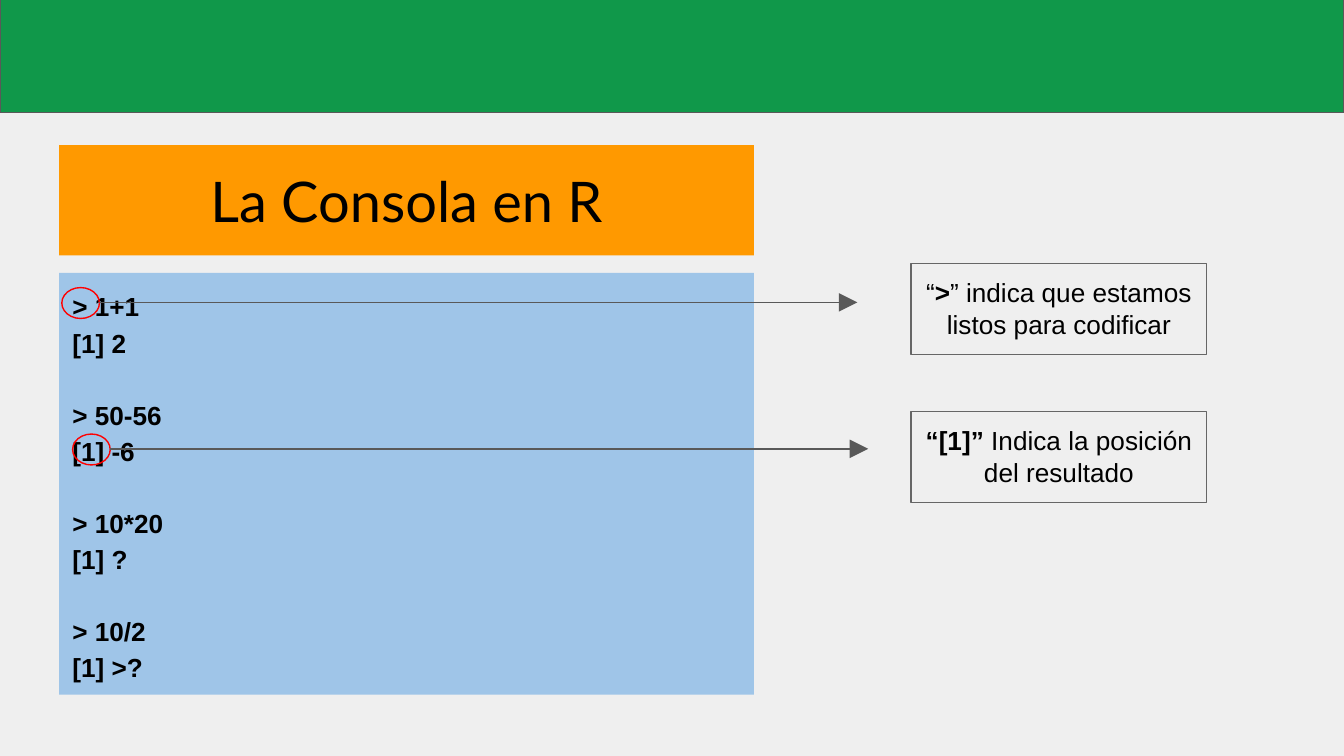
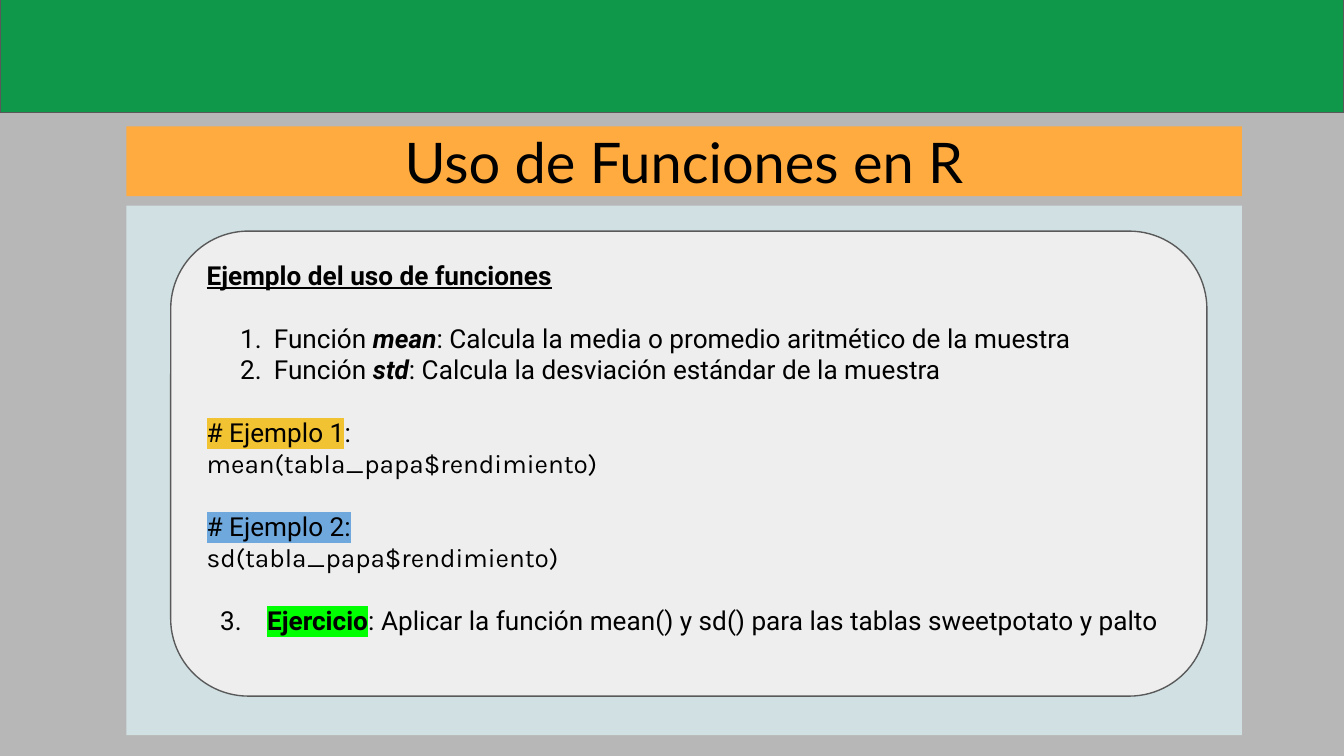
from lxml import etree
from pptx import Presentation
from pptx.dml.color import RGBColor
from pptx.enum.shapes import MSO_CONNECTOR, MSO_SHAPE
from pptx.enum.text import MSO_ANCHOR, PP_ALIGN
from pptx.oxml.ns import qn
from pptx.util import Inches, Pt

RECT, ROUNDED, OVAL = MSO_SHAPE.RECTANGLE, MSO_SHAPE.ROUNDED_RECTANGLE, MSO_SHAPE.OVAL
STRAIGHT = MSO_CONNECTOR.STRAIGHT
TOP, MIDDLE = MSO_ANCHOR.TOP, MSO_ANCHOR.MIDDLE
LEFT, CENTER = PP_ALIGN.LEFT, PP_ALIGN.CENTER

GREEN, GRAY, BLACK, RED = "10984A", "595959", "000000", "FF0000"
rgb = RGBColor.from_string


def add_box(shapes, kind, area, fill=None, line=None):
    box = shapes.add_shape(kind, *[Inches(v) for v in area])
    box.shadow.inherit = False
    if fill:
        box.fill.solid()
        box.fill.fore_color.rgb = rgb(fill)
    else:
        box.fill.background()
    if line:
        box.line.color.rgb = rgb(line)
        box.line.width = Pt(0.75)
    else:
        box.line.fill.background()
    return box


def write(box, paragraphs, font, size, align=LEFT, anchor=TOP):
    """Each paragraph is a list of (text, style) runs."""
    frame = box.text_frame
    frame.word_wrap = True
    frame.vertical_anchor = anchor
    frame.margin_left = frame.margin_right = Inches(0.1)
    frame.margin_top = frame.margin_bottom = Inches(0.1)
    for i, runs in enumerate(paragraphs):
        paragraph = frame.paragraphs[0] if i == 0 else frame.add_paragraph()
        paragraph.alignment = align
        for text, style in runs:
            run = paragraph.add_run()
            run.text = text
            run.font.size = Pt(size)
            run.font.name = style.get("font", font)
            run.font.bold = style.get("bold", False)
            run.font.italic = style.get("italic", False)
            run.font.underline = style.get("underline", False)
            run.font.color.rgb = rgb(BLACK)
            if "highlight" in style:
                mark = etree.Element(qn("a:highlight"))
                etree.SubElement(mark, qn("a:srgbClr"), val=style["highlight"])
                run.font._element.find(qn("a:solidFill")).addnext(mark)
    return frame.paragraphs


# Widescreen 16:9
prs = Presentation()
prs.slide_width = Inches(10)
prs.slide_height = Inches(10) * 9 // 16

# Shared frame: background, green band and title bar
pages = [
    ("La Consola en R", "EFEFEF", "FF9900", (0.44, 1.08, 5.17, 0.82)),
    ("Uso de Funciones en R", "B7B7B7", "FFAB40", (0.94, 0.94, 8.3, 0.52)),
]
for title, background, bar_color, bar_area in pages:
    slide = prs.slides.add_slide(prs.slide_layouts[6])
    slide.background.fill.solid()
    slide.background.fill.fore_color.rgb = rgb(background)
    add_box(slide.shapes, RECT, (0, -0.06, 10, 0.9), GREEN, GRAY)
    title_bar = add_box(slide.shapes, RECT, bar_area, bar_color)
    write(title_bar, [[(title, {})]], "Lato", 30, CENTER, MIDDLE)
console_slide, functions_slide = prs.slides

bold = {"bold": True}

# Slide 1: console session, one gap before each new command
session = ["> 1+1", "[1] 2", "> 50-56", "[1] -6", "> 10*20", "[1] ?", "> 10/2", "[1] >?"]
console = add_box(console_slide.shapes, RECT, (0.44, 2.03, 5.17, 3.14), "9FC5E8")
console_lines = write(console, [[(entry, bold)] for entry in session], "Arial", 14)
for i, line in enumerate(console_lines):
    line.line_spacing = 1.15
    if i and i % 2 == 0:
        line.space_before = Pt(19.3)

# Circled console symbols with arrows towards their explanations
for left, top in [(0.46, 2.14), (0.54, 3.23)]:
    callout = console_slide.shapes.add_group_shape().shapes
    add_box(callout, OVAL, (left, top, 0.28, 0.23), line=RED)
    start, middle = left + 0.28, top + 0.11
    arrow = callout.add_connector(STRAIGHT, Inches(start), Inches(middle),
                                  Inches(start + 5.64), Inches(middle))
    arrow.line.color.rgb = rgb(GRAY)
    arrow.line.width = Pt(0.75)
    etree.SubElement(arrow.line._get_or_add_ln(), qn("a:tailEnd"),
                     type="triangle", w="lg", len="lg")
    etree.SubElement(arrow._element.spPr, qn("a:effectLst"))

explanations = [
    [("“", {}), (">", bold), ("” indica que estamos listos para codificar", {})],
    [("“[1]”", bold), (" Indica la posición del resultado", {})],
]
for i, explanation in enumerate(explanations):
    note = add_box(console_slide.shapes, RECT, (6.78, 1.96 + 1.1 * i, 2.2, 0.68), line="666666")
    write(note, [explanation], "Arial", 14, CENTER)

# Slide 2: panel and rounded card
add_box(functions_slide.shapes, RECT, (0.94, 1.53, 8.3, 3.94), "D0E0E3")
card = add_box(functions_slide.shapes, ROUNDED, (1.27, 1.72, 7.71, 3.46), "EEEEEE", GRAY)
card.adjustments[0] = 0.167

function_name = {"bold": True, "italic": True}
code = {"font": "Karla"}
lesson = [
    [("Ejemplo del uso de funciones", {"bold": True, "underline": True})],
    [("Función ", {}), ("mean", function_name),
     (": Calcula la media o promedio aritmético de la muestra", {})],
    [("Función ", {}), ("std", function_name),
     (": Calcula la desviación estándar de la muestra", {})],
    [("# Ejemplo 1", {"highlight": "F1C232"}), (":", {})],
    [("mean(tabla_papa$rendimiento)", code)],
    [("# Ejemplo 2:", {"highlight": "6FA8DC"})],
    [("sd(tabla_papa$rendimiento)", code)],
    [("3.\t", {}), ("Ejercicio", {"bold": True, "highlight": "00FF00"}),
     (": Aplicar la función mean() y sd() para las tablas sweetpotato y palto", {})],
]
lesson_lines = write(card, lesson, "Roboto", 14)
card.text_frame.margin_top = Inches(0.04)

# Gaps between the parts of the lesson
for i in (1, 3, 5, 7):
    lesson_lines[i].space_before = Pt(16.8)

# Hanging indents; the two functions are numbered automatically
for i, indent, hanging in [(1, 0.5, 0.25), (2, 0.5, 0.25), (7, 0.45, 0.35)]:
    properties = lesson_lines[i]._p.get_or_add_pPr()
    properties.set("marL", str(Inches(indent)))
    properties.set("indent", str(-Inches(hanging)))
    if i < 3:
        etree.SubElement(properties, qn("a:buAutoNum"), type="arabicPeriod")

prs.save("out.pptx")
